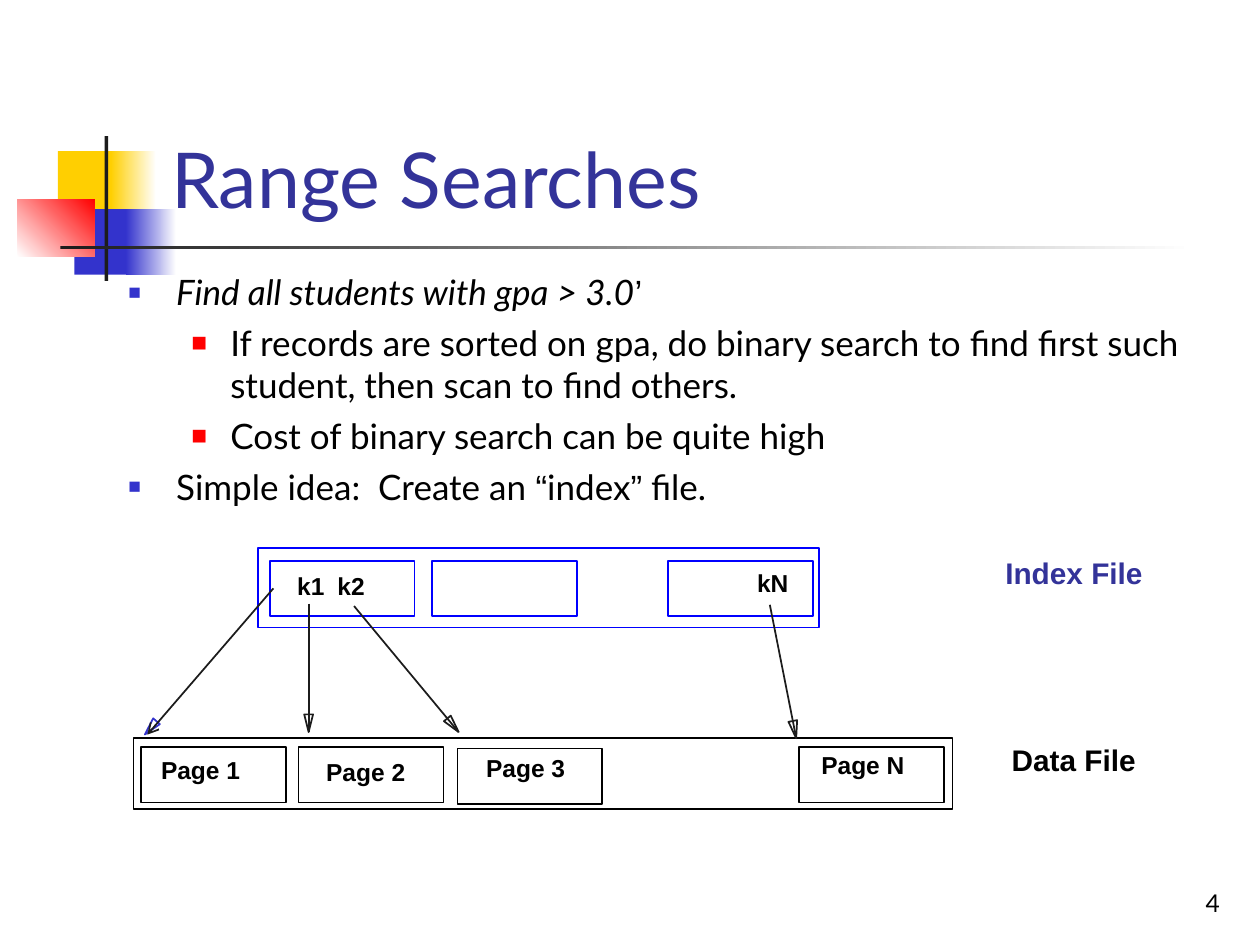
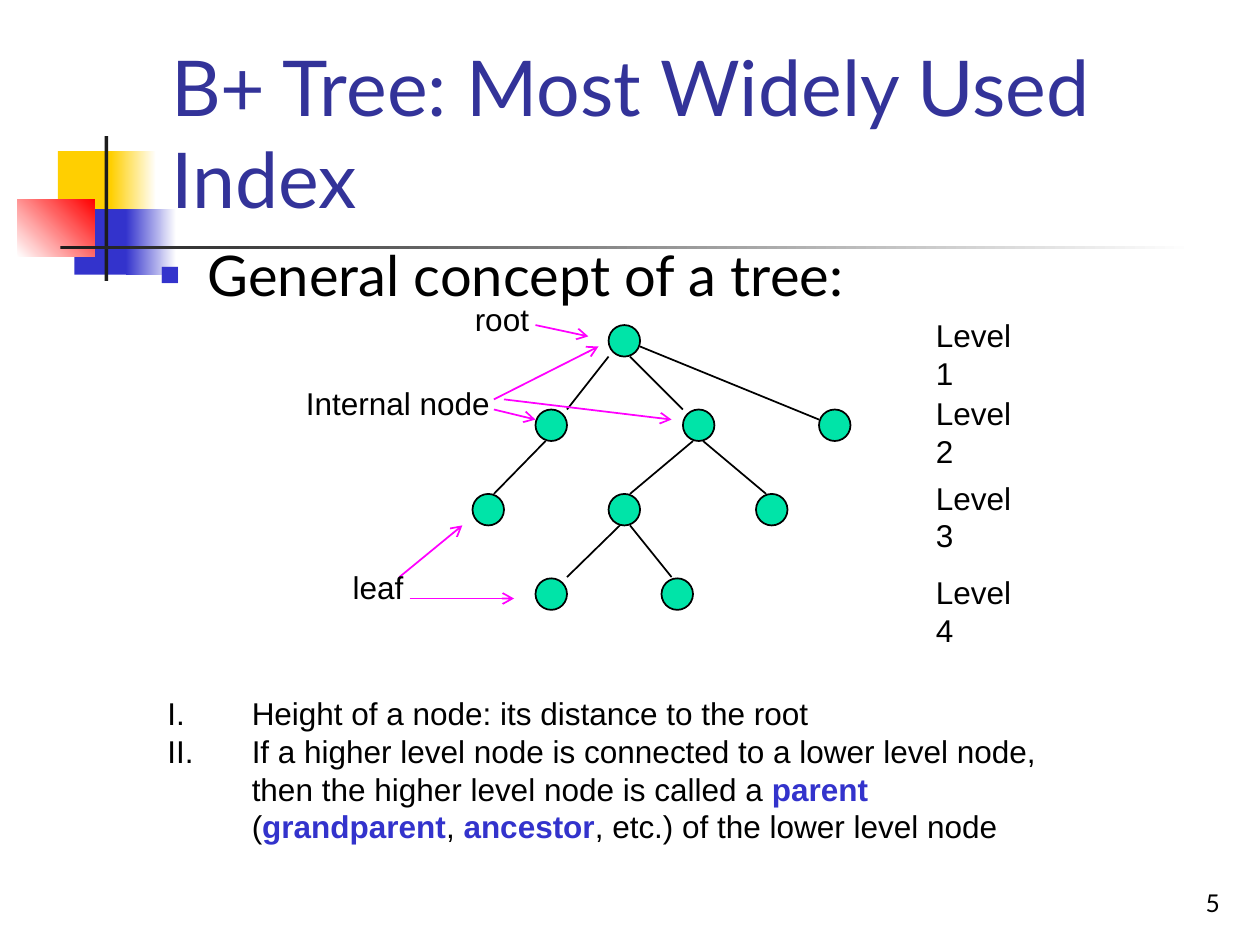
from math import hypot

from pptx import Presentation
from pptx.dml.color import RGBColor
from pptx.enum.shapes import MSO_CONNECTOR, MSO_SHAPE
from pptx.enum.text import MSO_ANCHOR, MSO_AUTO_SIZE, PP_ALIGN
from pptx.oxml.ns import qn
from pptx.util import Inches, Pt
from lxml.etree import SubElement

COLORS = {
    "black": "000000", "white": "FFFFFF", "title": "333399", "yellow": "FFCF01",
    "blue": "3333CC", "red": "FF0000", "ink": "1C1C1C", "index": "0000FF",
    "node": "00E4A8", "pointer": "FF00FF",
}
HEADING_FONT = "Lato"
LABEL_FONT = "Arial"

# Per outline level: left margin, hanging indent, bullet colour, size in percent
BULLETS = [(0.38, 0.38, "blue", 60), (0.81, 0.31, "red", 75)]


def color(name):
    return RGBColor.from_string(COLORS[name])


class Deck:
    """Holds the shared style and the slide being built."""

    def __init__(self):
        self.presentation = Presentation()
        self.presentation.slide_width = Inches(10)
        self.presentation.slide_height = Inches(7.5)
        self.slide = None

    def start_slide(self, title, number):
        layout = self.presentation.slide_layouts[6]
        self.slide = self.presentation.slides.add_slide(layout)
        self.ornament()
        frame = self.text_box(7.7, 6.83, 2.08, 0.5, MSO_ANCHOR.BOTTOM)
        frame.paragraphs[0].alignment = PP_ALIGN.RIGHT
        self.add_runs(frame.paragraphs[0], [(str(number), {})], 14, HEADING_FONT)
        frame = self.text_box(1.26, 0.23, 8.52, 1.6, MSO_ANCHOR.BOTTOM)
        self.add_runs(frame.paragraphs[0], [(title, {"color": "title"})], 44, HEADING_FONT)

    def ornament(self):
        """Draws the coloured squares and the cross lines beside the title."""
        self.box(0.46, 1.2, 0.48, 0.52, fill="yellow")
        self.gradient_box(0.88, 1.2, 0.36, 0.52, "yellow", "white")
        self.box(0.59, 1.66, 0.46, 0.52, fill="blue")
        self.gradient_box(1, 1.66, 0.4, 0.52, "blue", "white")
        self.gradient_box(0.14, 1.58, 0.61, 0.46, "white", "red", 45)
        self.box(0.83, 1.08, 0.03, 1.15, fill="ink")
        self.gradient_box(0.48, 1.95, 9, 0.03, "ink", "white")

    def style(self, shape, fill=None, line=None):
        shape.shadow.inherit = False
        if fill:
            shape.fill.solid()
            shape.fill.fore_color.rgb = color(fill)
        else:
            shape.fill.background()
        if line:
            shape.line.color.rgb = color(line)
            shape.line.width = Pt(1)
        else:
            shape.line.fill.background()

    def box(self, left, top, width, height, fill=None, line=None,
            kind=MSO_SHAPE.RECTANGLE):
        shape = self.slide.shapes.add_shape(
            kind, Inches(left), Inches(top), Inches(width), Inches(height))
        self.style(shape, fill, line)
        return shape

    def gradient_box(self, left, top, width, height, first, last, angle=0):
        shape = self.box(left, top, width, height)
        shape.fill.gradient()
        shape.fill.gradient_angle = angle
        for stop, name in zip(shape.fill.gradient_stops, (first, last)):
            stop.color.rgb = color(name)

    def connector(self, start, end, line="black", arrow=False):
        connector = self.slide.shapes.add_connector(
            MSO_CONNECTOR.STRAIGHT, *map(Inches, (*start, *end)))
        connector.line.color.rgb = color(line)
        connector.line.width = Pt(1)
        properties = connector._element.spPr
        if arrow:
            SubElement(properties.find(qn("a:ln")), qn("a:tailEnd"), type="arrow")
        SubElement(properties, qn("a:effectLst"))

    def hollow_head(self, start, end, line="ink", length=0.14, half_width=0.035):
        """Draws an unfilled triangular arrowhead whose tip is at end."""
        (x1, y1), (x2, y2) = start, end
        distance = hypot(x2 - x1, y2 - y1)
        dx, dy = (x2 - x1) / distance, (y2 - y1) / distance
        base_x, base_y = x2 - length * dx, y2 - length * dy
        corners = [(Inches(base_x + side * half_width * dy),
                    Inches(base_y - side * half_width * dx)) for side in (1, -1)]
        builder = self.slide.shapes.build_freeform(Inches(x2), Inches(y2), scale=1.0)
        builder.add_line_segments(corners, close=True)
        self.style(builder.convert_to_shape(), line=line)

    def text_box(self, left, top, width, height, anchor=MSO_ANCHOR.TOP):
        shape = self.slide.shapes.add_textbox(
            Inches(left), Inches(top), Inches(width), Inches(height))
        frame = shape.text_frame
        frame.word_wrap = True
        frame.vertical_anchor = anchor
        return frame

    def add_runs(self, paragraph, runs, size, font):
        """Adds (text, format) runs; a format may change font, color, bold, italic."""
        for text, changes in runs:
            run = paragraph.add_run()
            run.text = text
            run.font.size = Pt(size)
            run.font.name = changes.get("font", font)
            run.font.color.rgb = color(changes.get("color", "black"))
            run.font.bold = changes.get("bold", False)
            run.font.italic = changes.get("italic", False)

    def label(self, text, left, top, width, height, size, **changes):
        frame = self.text_box(left, top, width, height)
        frame.word_wrap = False
        frame.auto_size = MSO_AUTO_SIZE.SHAPE_TO_FIT_TEXT
        self.add_runs(frame.paragraphs[0], [(text, changes)], size, LABEL_FONT)

    def indent(self, paragraph, margin, hanging):
        properties = paragraph._p.get_or_add_pPr()
        properties.set("marL", str(Inches(margin)))
        properties.set("indent", str(-Inches(hanging)))
        return properties

    def paragraphs(self, frame, count):
        return [frame.paragraphs[0]] + [frame.add_paragraph() for _ in range(count - 1)]

    def outline(self, frame, items, size, space):
        """Adds (level, runs) items with square bullets."""
        for i, (paragraph, (level, runs)) in enumerate(
                zip(self.paragraphs(frame, len(items)), items)):
            margin, hanging, bullet_color, percent = BULLETS[level]
            paragraph.level = level
            paragraph.space_before = Pt(space if i else 0)
            properties = self.indent(paragraph, margin, hanging)
            bullet = SubElement(properties, qn("a:buClr"))
            SubElement(bullet, qn("a:srgbClr"), val=COLORS[bullet_color])
            SubElement(properties, qn("a:buSzPct"), val=str(percent * 1000))
            SubElement(properties, qn("a:buFont"), typeface=LABEL_FONT)
            SubElement(properties, qn("a:buChar"), char="■")
            self.add_runs(paragraph, runs, size, HEADING_FONT)

    def roman_list(self, frame, items, size):
        for paragraph, runs in zip(self.paragraphs(frame, len(items)), items):
            properties = self.indent(paragraph, 0.67, 0.67)
            SubElement(properties, qn("a:buAutoNum"), type="romanUcPeriod")
            self.add_runs(paragraph, runs, size, LABEL_FONT)


def range_searches(deck):
    deck.start_slide("Range Searches", 4)
    quote = {"font": LABEL_FONT}
    deck.outline(deck.text_box(0.92, 2.1, 8.67, 4.49), [
        (0, [("Find all students with gpa > 3.0", {"italic": True}), ("’", quote)]),
        (1, [("If records are sorted on gpa, do binary search to find first such "
              "student, then scan to find others.", {})]),
        (1, [("Cost of binary search can be quite high", {})]),
        (0, [("Simple idea:  Create an ", {}), ("“", quote), ("index", {}),
             ("”", quote), (" file.", {})]),
    ], 20, 5)

    entry_width, entry_height = 1.15, 0.44
    deck.box(1.06, 5.86, 6.5, 0.56, line="black")
    for left, top in [(1.12, 5.93), (2.37, 5.93), (3.63, 5.94), (6.34, 5.93)]:
        deck.box(left, top, entry_width, entry_height, line="black")
    deck.box(2.05, 4.35, 4.45, 0.63, line="index")
    for left in (2.14, 3.43, 5.3):
        deck.box(left, 4.45, entry_width, entry_height, line="index")

    for text, left, top, width in [
            ("Page 1", 1.18, 5.94, 0.83), ("Page 2", 2.49, 5.96, 0.83),
            ("Page 3", 3.76, 5.93, 0.83), ("Page N", 6.42, 5.9, 0.86),
            ("k1", 2.26, 4.48, 0.42), ("k2", 2.58, 4.48, 0.42),
            ("kN", 5.91, 4.46, 0.45)]:
        deck.label(text, left, top, width, 0.33, 14, bold=True)
    deck.label("Index File", 7.88, 4.35, 1.29, 0.38, 17, bold=True, color="title")
    deck.label("Data File", 7.93, 5.84, 1.19, 0.38, 17, bold=True)

    for key, page in [((2.45, 4.79), (2.45, 5.81)), ((2.81, 4.81), (3.64, 5.81)),
                      ((6.11, 4.8), (6.32, 5.86))]:
        deck.connector(key, page, "ink")
        deck.hollow_head(key, page)
    first_key, first_page = (2.17, 4.67), (1.17, 5.83)
    deck.hollow_head(first_key, (1.15, 5.83), "blue")
    deck.connector(first_key, first_page, "ink", arrow=True)


def tree_concept(deck):
    deck.start_slide("B+ Tree: Most Widely Used Index", 5)
    deck.outline(deck.text_box(1.17, 1.86, 7.83, 5.12),
                 [(0, [("General concept of a tree:", {})])], 32, 8)

    node_size, first_level, level_gap = 0.25, 2.58, 0.67
    levels = [(4.83,), (4.25, 5.42, 6.5), (3.75, 4.83, 6), (4.25, 5.25)]
    for depth, lefts in enumerate(levels):
        for left in lefts:
            deck.box(left, first_level + depth * level_gap, node_size, node_size,
                     "node", "black", MSO_SHAPE.OVAL)

    edges = [
        ((4.83, 2.83), (4.5, 3.25)), ((5, 2.83), (5.42, 3.25)),
        ((5.08, 2.75), (6.5, 3.33)), ((4.33, 3.5), (3.92, 3.92)),
        ((5.5, 3.5), (5, 3.92)), ((5.58, 3.5), (6.08, 3.92)),
        ((4.92, 4.17), (4.5, 4.58)), ((5, 4.17), (5.33, 4.58)),
    ]
    for parent, child in edges:
        deck.connector(parent, child)

    pointers = [
        ((4.25, 2.58), (4.67, 2.67)),
        ((3.92, 3.25), (4.25, 3.33)), ((3.92, 3.17), (4.75, 2.75)),
        ((4, 3.17), (5.33, 3.33)),
        ((3.17, 4.58), (3.67, 4.17)), ((3.25, 4.75), (4.08, 4.75)),
    ]
    for name, node in pointers:
        deck.connector(name, node, "pointer", arrow=True)

    for text, left, top, width in [("root", 3.67, 2.33, 0.63),
                                   ("Internal node", 2.33, 3, 1.66),
                                   ("leaf", 2.7, 4.46, 0.6)]:
        deck.label(text, left, top, width, 0.4, 18)
    for level, top in enumerate((2.46, 3.08, 3.75, 4.5), start=1):
        deck.label(f"Level {level}", 7.33, top, 1, 0.4, 18)

    term = {"color": "blue", "bold": True}
    deck.roman_list(deck.text_box(1.23, 5.46, 7.4, 1.3), [
        [("Height of a node: its distance to the root", {})],
        [("If a higher level node is connected to a lower level node, then the "
          "higher level node is called a ", {}), ("parent ", term), ("(", {}),
         ("grandparent", term), (", ", {}), ("ancestor", term),
         (", etc.) of the lower level node", {})],
    ], 18)


def main():
    deck = Deck()
    range_searches(deck)
    tree_concept(deck)
    deck.presentation.save("out.pptx")


if __name__ == "__main__":
    main()
